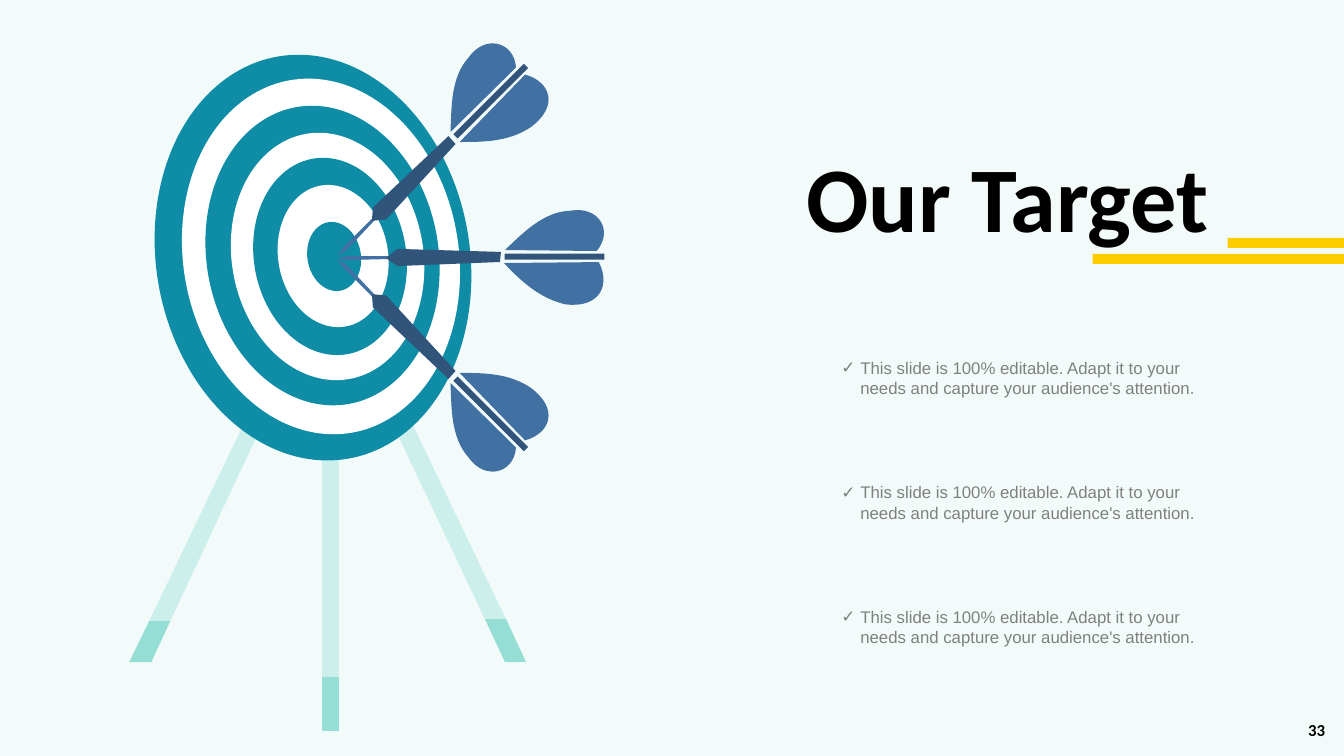
from lxml.etree import SubElement
from pptx import Presentation
from pptx.dml.color import RGBColor
from pptx.enum.shapes import MSO_SHAPE
from pptx.enum.text import MSO_ANCHOR, MSO_AUTO_SIZE, PP_ALIGN
from pptx.oxml.ns import qn
from pptx.util import Pt

BACKGROUND = RGBColor(0xF2, 0xFB, 0xFA)
FOOT = RGBColor(0x94, 0xDE, 0xD6)
LEG = RGBColor(0xCC, 0xEF, 0xEC)
TEAL = RGBColor(0x0F, 0x8C, 0xA6)
WHITE = RGBColor(0xFF, 0xFF, 0xFF)
WING = RGBColor(0x41, 0x70, 0xA3)
BARREL = RGBColor(0x31, 0x54, 0x7A)
YELLOW = RGBColor(0xFF, 0xCC, 0x00)
BLACK = RGBColor(0, 0, 0)
GREY = RGBColor(0x80, 0x80, 0x80)

TITLE = dict(name="Calibri", size=Pt(66), bold=True)
BODY = dict(name="Arial", size=Pt(12), bold=False)
NUMBER = dict(name="Calibri", size=Pt(12), bold=True)

MESSAGE = ("This slide is 100% editable. Adapt it to your needs "
           "and capture your audience's attention.")

# Left, top, width, height of each ring, from the rim to the bullseye
RINGS = [
    (111.6, 38.2, 223.9, 291.6), (131, 55.4, 196.6, 255.6),
    (147.6, 74.9, 165.6, 215.3), (165.6, 94.3, 136.8, 177.8),
    (181.4, 112.3, 108.7, 141.8), (198.7, 131.8, 78.5, 102.2),
    (219.6, 158.4, 38.2, 49.7),
]

# Top, joint and end of each leg, as (left x, left y, right x, right y)
LEGS = [
    [(177.1, 296.6, 190.8, 295.9), (106.6, 443.5, 121.7, 443.5), (92.2, 473, 108, 473)],
    [(229.9, 308.9, 242.3, 308.9), (229.9, 483.8, 242.3, 483.8), (229.9, 522, 242.3, 522)],
    [(277.2, 295.9, 291.6, 296.6), (346.3, 442.1, 361.4, 442.1), (360.7, 473, 375.8, 473)],
]

# In an outline, two numbers are a corner and six are a Bezier curve
LEVEL_DART = dict(
    outlines=[
        (WING, [(360, 187.9), (427.7, 187.2), (436.3, 203.8, 428.4, 220.3, 403.9, 217.4),
                (385.2, 213.1, 371.5, 200.2, 360, 187.9)]),
        (WING, [(241.2, 184.3), (247.7, 182.9), (281.5, 182.9), (281.5, 185), (247.7, 185.8)]),
        (WING, [(360.7, 178.6), (373.7, 166.3, 388.1, 151.2, 407.5, 150.5),
                (427.7, 146.9, 438.5, 164.9, 426.2, 179.3)]),
        (BARREL, [(357.8, 180), (357.1, 187.2), (283.7, 190.1), (275.8, 184.3), (283.7, 177.8)]),
    ],
    shaft=(396, 183.4), angle=90)
RISING_DART = dict(
    outlines=[
        (WING, [(241.2, 185), (244.8, 190.8), (268.6, 214.6), (270, 213.1), (247, 188.6)]),
        (WING, [(321.8, 273.6), (322.6, 290.9, 321.8, 312.5, 334.8, 326.9),
                (346.3, 343.4, 367.2, 338.4, 368.6, 319.7)]),
        (BARREL, [(320.4, 270.7), (325.4, 265), (275.8, 211), (265.7, 210.2), (266.4, 219.6)]),
        (WING, [(328.3, 266.4), (375.1, 314.6), (393.1, 309.6, 399.6, 292.3, 379.4, 277.2),
                (363.6, 266.4, 344.9, 266.4, 328.3, 266.4)]),
    ],
    shaft=(350.6, 295.6), angle=315)


def mirrored(dart, height=367.9):
    """Turn a dart upside down; a point and its mirror image add up to height."""
    def flip(step):
        return tuple(height - v if i % 2 else v for i, v in enumerate(step))
    return dict(outlines=[(color, [flip(step) for step in steps])
                          for color, steps in dart["outlines"]],
                shaft=flip(dart["shaft"]), angle=360 - dart["angle"])


def flatten(steps, pieces=16):
    """Turn corners and Bezier curves into a list of points."""
    points = []
    for step in steps:
        if len(step) == 2:
            points.append(step)
            continue
        ctrl = [points[-1], step[:2], step[2:4], step[4:]]
        for k in range(1, pieces + 1):
            t = k / pieces
            weights = ((1 - t) ** 3, 3 * t * (1 - t) ** 2, 3 * t * t * (1 - t), t ** 3)
            points.append(tuple(sum(w * c[i] for w, c in zip(weights, ctrl)) for i in (0, 1)))
    return points


class Board:
    def __init__(self, s):
        self.s = s
        self.s.background.fill.solid()
        self.s.background.fill.fore_color.rgb = BACKGROUND

    def paint(self, sp, color):
        sp.shadow.inherit = False
        sp.fill.solid()
        sp.fill.fore_color.rgb = color
        sp.line.fill.background()

    def shape(self, kind, box, color, angle=0):
        sp = self.s.shapes.add_shape(kind, *map(Pt, box))
        sp.rotation = angle
        self.paint(sp, color)

    def outline(self, steps, color):
        points = [(Pt(x), Pt(y)) for x, y in flatten(steps)]
        builder = self.s.shapes.build_freeform(*points[0])
        builder.add_line_segments(points[1:], close=True)
        self.paint(builder.convert_to_shape(), color)

    def leg(self, top, joint, end):
        for upper, lower, color in ((joint, end, FOOT), (top, joint, LEG)):
            self.outline([upper[:2], upper[2:], lower[2:], lower[:2]], color)

    def dart(self, outlines, shaft, angle):
        x, y = shaft
        self.shape(MSO_SHAPE.RECTANGLE, (x - 2.15, y - 35.65, 4.3, 71.3), BARREL, angle)
        for color, steps in outlines:
            self.outline(steps, color)

    def text(self, text, box, style, color, bullet=None, **frame):
        tf = self.s.shapes.add_textbox(*map(Pt, box)).text_frame
        for name, value in dict(word_wrap=True, **frame).items():
            setattr(tf, name, value)
        p = tf.paragraphs[0]
        if bullet:
            pPr = p._p.get_or_add_pPr()
            pPr.set("marL", str(Pt(13.5)))
            pPr.set("indent", str(Pt(-13.5)))
            SubElement(pPr, qn("a:buFont")).set("typeface", "Arial")
            SubElement(pPr, qn("a:buChar")).set("char", bullet)
        r = p.add_run()
        r.text = text
        for name, value in style.items():
            setattr(r.font, name, value)
        r.font.color.rgb = color
        return p


def main():
    prs = Presentation()
    prs.slide_width, prs.slide_height = Pt(960), Pt(540)
    board = Board(prs.slides.add_slide(prs.slide_layouts[6]))

    for leg in LEGS:
        board.leg(*leg)
    for i, ring in enumerate(RINGS):
        board.shape(MSO_SHAPE.OVAL, ring, WHITE if i % 2 else TEAL, 350)
    for dart in (LEVEL_DART, RISING_DART, mirrored(RISING_DART)):
        board.dart(**dart)

    grow = MSO_AUTO_SIZE.SHAPE_TO_FIT_TEXT
    for i in range(3):
        board.text(MESSAGE, (594, 252 + 88.9 * i, 273.6, 36), BODY, GREY,
                   bullet="✓", auto_size=grow)
    board.text("Our Target", (568.8, 96.5, 337.7, 87.1), TITLE, BLACK, auto_size=grow)
    for left, top in ((780.4, 181.4), (876.8, 169.9)):
        board.shape(MSO_SHAPE.RECTANGLE, (left, top, 960 - left, 7.2), YELLOW)
    p = board.text("33", (920.8, 509.8, 39.2, 23), NUMBER, BLACK,
                   vertical_anchor=MSO_ANCHOR.MIDDLE)
    p.alignment = PP_ALIGN.CENTER

    prs.save("out.pptx")


if __name__ == "__main__":
    main()
